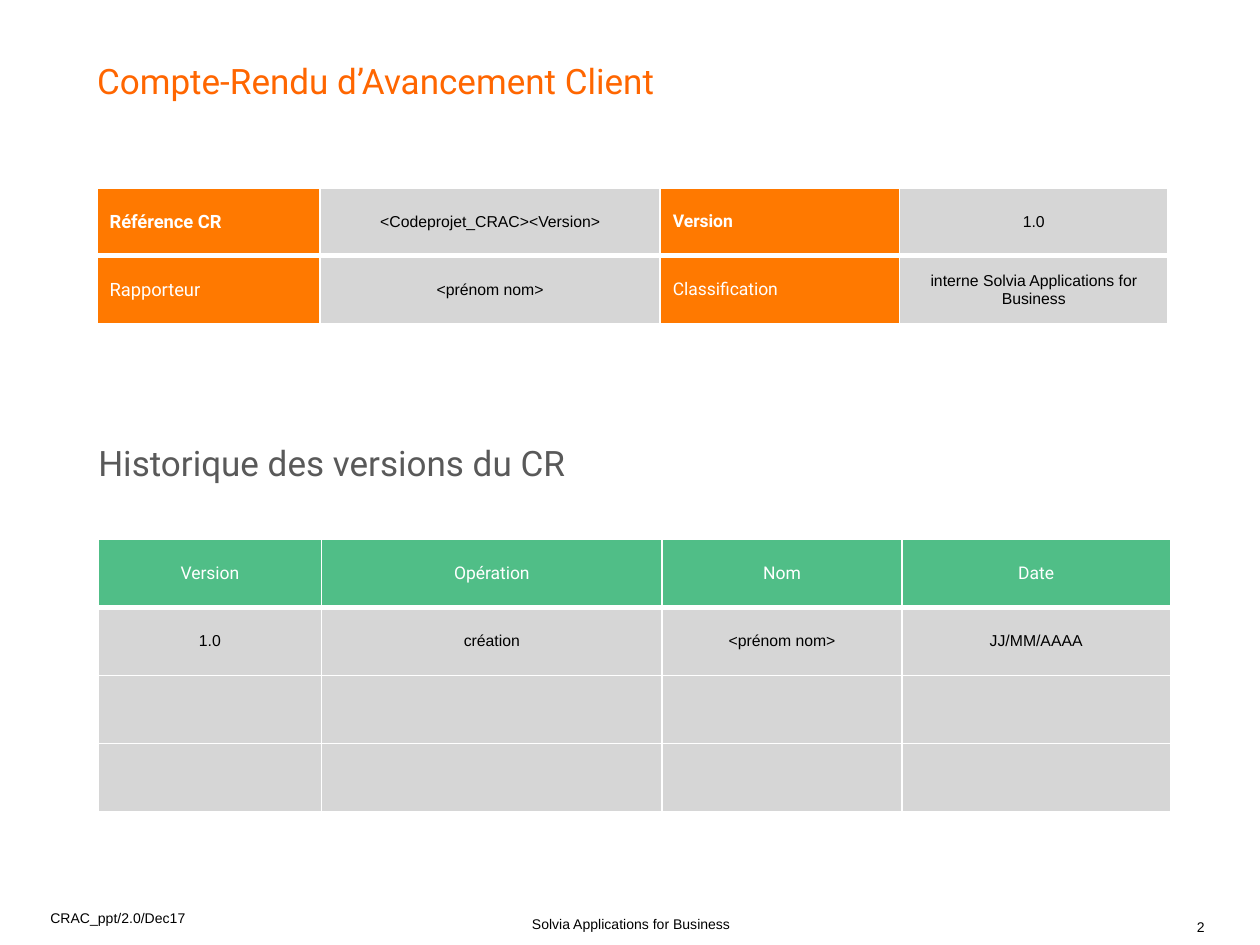
from pptx import Presentation
from pptx import util as u
from pptx.dml.color import RGBColor
from pptx.enum import text
from pptx.oxml import ns, xmlchemy
from lxml import etree

COLUMNS, ROWS = 100, 75
ORANGE, GREEN, GREY, WHITE = "FF7900", "50BE87", "D6D6D6", "FFFFFF"
LEFT, CENTER = text.PP_ALIGN.LEFT, text.PP_ALIGN.CENTER
TOP, MIDDLE, BOTTOM = (text.MSO_ANCHOR.TOP, text.MSO_ANCHOR.MIDDLE,
                       text.MSO_ANCHOR.BOTTOM)
COMPANY = "Solvia Applications for Business"
COLUMN_SHARES = (1.77, 2.7, 1.9, 2.13)
THIN, THICK = 1, 3

deck = Presentation()
deck.slide_width, deck.slide_height = u.Inches(10), u.Inches(7.5)


def colour(value):
    return RGBColor.from_string(value)


def grid(box):
    left, top, width, height = box
    across, down = deck.slide_width / COLUMNS, deck.slide_height / ROWS
    return [u.Emu(round(size * unit)) for size, unit in
            ((left, across), (top, down), (width, across), (height, down))]


def write(frame, words, size=9, font="Arial", color="000000", bold=False,
          align=LEFT, spacing=1.0):
    para = frame.paragraphs[0]
    para.alignment, para.line_spacing = align, spacing
    span = para.add_run()
    span.text = words
    span.font.size, span.font.name, span.font.bold = u.Pt(size), font, bold
    span.font.color.rgb = colour(color)


def place_text(shape, box, words, anchor=TOP, wrap=True, inset=0, **style):
    shape.left, shape.top, shape.width, shape.height = grid(box)
    frame = shape.text_frame
    frame.auto_size = text.MSO_AUTO_SIZE.NONE
    frame.word_wrap, frame.vertical_anchor = wrap, anchor
    frame.margin_left = frame.margin_right = 0
    frame.margin_top = frame.margin_bottom = u.Inches(inset)
    write(frame, words, **style)


def add_text(page, box, words, **style):
    place_text(page.shapes.add_textbox(0, 0, 0, 0), box, words, **style)


def set_borders(cell, top, bottom):
    properties = cell._tc.get_or_add_tcPr()
    widths = {"lnL": THIN, "lnR": THIN, "lnT": top, "lnB": bottom}
    for index, (side, width) in enumerate(widths.items()):
        line = etree.Element(ns.qn("a:" + side), w=str(u.Pt(width)))
        fill = etree.SubElement(line, ns.qn("a:solidFill"))
        etree.SubElement(fill, ns.qn("a:srgbClr"), val=WHITE)
        properties.insert(index, line)


def add_grid_table(page, box, rows, style_for):
    left, top, width, height = grid(box)
    table = page.shapes.add_table(len(rows), len(COLUMN_SHARES),
                                  left, top, width, height).table
    for column, share in zip(table.columns, COLUMN_SHARES):
        column.width = round(width * share / sum(COLUMN_SHARES))
    for row_index, row in enumerate(rows):
        table.rows[row_index].height = round(height / len(rows))
        for column_index, words in enumerate(row):
            cell = table.cell(row_index, column_index)
            fill, style = style_for(row_index, column_index)
            cell.fill.solid()
            cell.fill.fore_color.rgb = colour(fill)
            cell.vertical_anchor = MIDDLE
            cell.margin_left = cell.margin_right = u.Inches(0.1)
            cell.margin_top = cell.margin_bottom = u.Inches(0.07)
            set_borders(cell, THICK if row_index == 1 else THIN,
                        THICK if row_index == 0 else THIN)
            if words:
                write(cell.text_frame, words, **style)


def reference_style(row, column):
    if column % 2:
        return GREY, dict(align=CENTER)
    return ORANGE, dict(size=10 if column else 10.5, font="Roboto",
                        color=WHITE, bold=row == 0)


def history_style(row, column):
    if row:
        return GREY, dict(align=CENTER)
    return GREEN, dict(size=10, font="Roboto", color=WHITE, align=CENTER)


def add_reference(page, left, top):
    place_text(page.shapes.title, (left, top, 72.5, 8.1),
               "Compte-Rendu d’Avancement Client", size=20, font="Roboto",
               color="FF6600", spacing=0.9)
    add_grid_table(page, (left, top + 9.8, 85, 10.8), [
        ("Référence CR", "<Codeprojet_CRAC><Version>", "Version", "1.0"),
        ("Rapporteur", "<prénom nom>", "Classification",
         "interne " + COMPANY),
    ], reference_style)


def add_history(page, left, top):
    add_text(page, (left, top, 72.5, 10.8), "Historique des versions du CR",
             size=20, font="Roboto", color="595959")
    add_grid_table(page, (left, top + 7.8, 85.1, 21.6), [
        ("Version", "Opération", "Nom", "Date"),
        ("1.0", "création", "<prénom nom>", "JJ/MM/AAAA"),
        ("",) * 4,
        ("",) * 4,
    ], history_style)


def add_footer(page, left, top):
    add_text(page, (left, top, 11, 3.1), "CRAC_ppt/2.0/Dec17", size=8,
             wrap=False, inset=0.05)
    add_text(page, (left + 28.7, top + 0.9, 34.8, 1.6), COMPANY, size=8,
             anchor=MIDDLE, align=CENTER, spacing=0.85)
    add_text(page, (left + 91, top + 0.9, 3, 1.6), "2", size=8,
             anchor=BOTTOM, spacing=0.85)


def main():
    page = deck.slides.add_slide(deck.slide_layouts[5])
    add_footer(page, 4, 71.7)
    add_history(page, 7.8, 35)
    add_reference(page, 7.7, 5.1)
    deck.save("out.pptx")


if __name__ == "__main__":
    main()
